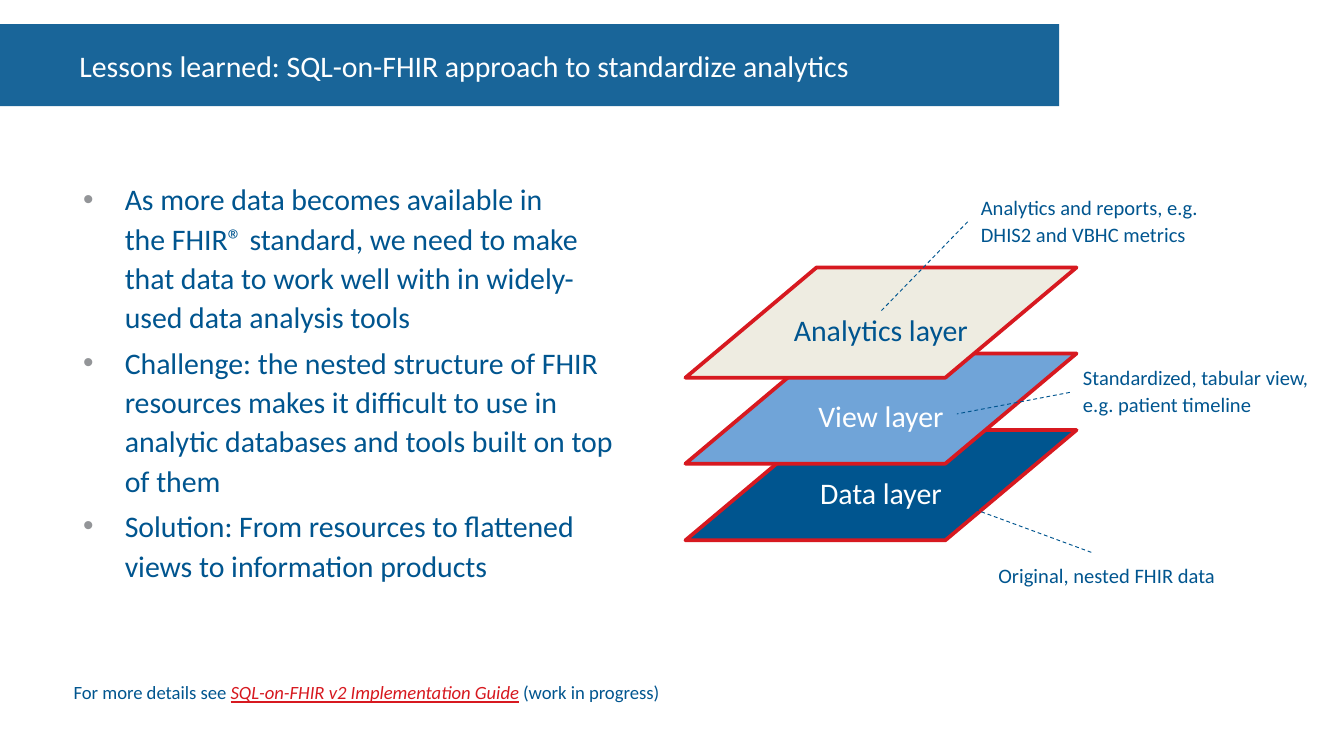
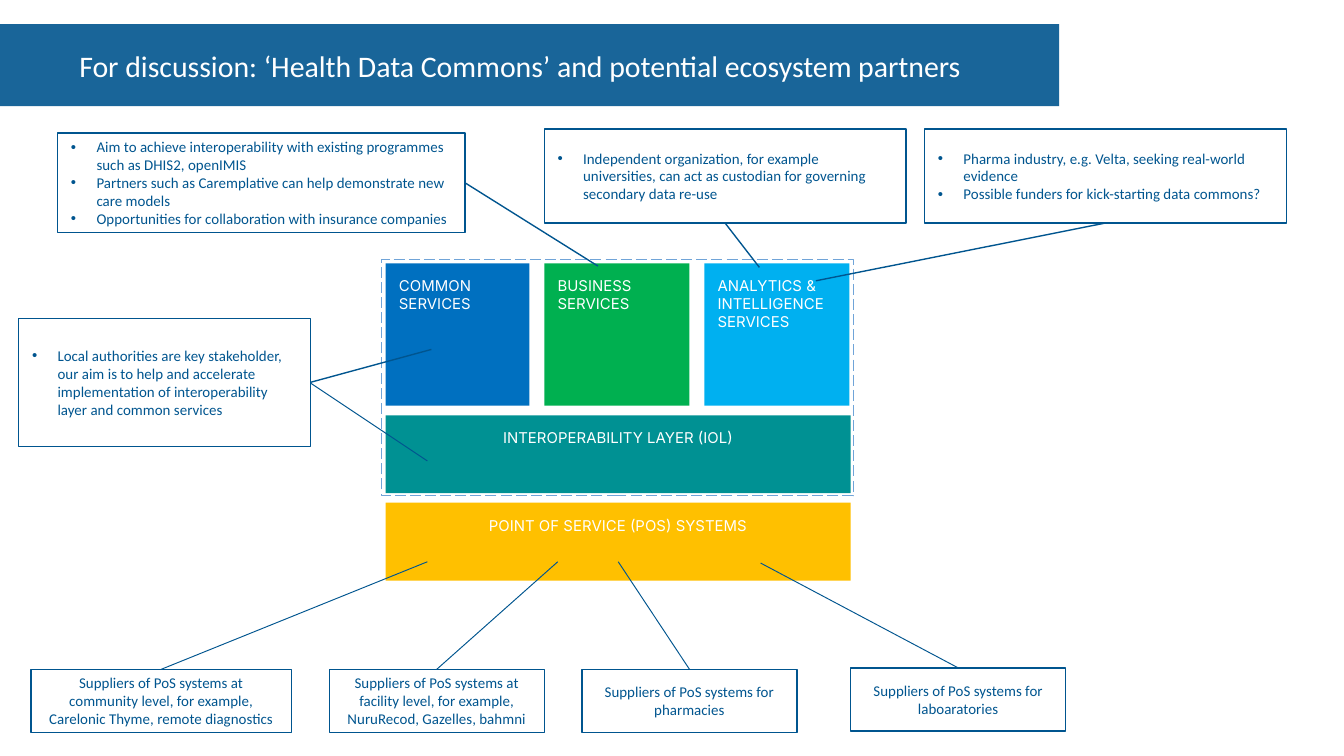
import pptx
import pptx.util
import pptx.dml.color
import pptx.enum.dml
import pptx.enum.shapes
import pptx.enum.text
import pptx.oxml.ns
from lxml import etree

# Shared style, lengths in px at 100 px to the inch
PX = 9144
SLIDE_WIDTH = 1000
NAVY, RED, SKY, WHITE = "00558F", "D71920", "70A4D8", "FFFFFF"
SAND, GREY = "EEECE1", "939598"
BODY_FONT, BLOCK_FONT = "Calibri", "Inter"
INSETS = (10, 5, 10, 5)
NBSP = chr(160)
SHAPE = pptx.enum.shapes.MSO_SHAPE
DASH = pptx.enum.dml.MSO_LINE
ALIGN = pptx.enum.text.PP_ALIGN
ANCHOR = pptx.enum.text.MSO_ANCHOR


def px(length):
    return pptx.util.Emu(round(length * PX))


def rgb(color):
    return pptx.dml.color.RGBColor.from_string(color)


def sub(parent, tag, **attributes):
    return etree.SubElement(parent, pptx.oxml.ns.qn(tag), **attributes)


# Text
def add_bullet(paragraph, indent, color):
    properties = paragraph._p.get_or_add_pPr()
    properties.set("marL", str(px(indent)))
    properties.set("indent", str(px(-indent)))
    sub(sub(properties, "a:buClr"), "a:srgbClr", val=color)
    sub(properties, "a:buFont", typeface="Arial")
    sub(properties, "a:buChar", char="•")


def style_run(run, size, color, font=BODY_FONT):
    run.font.size = pptx.util.Pt(size)
    run.font.name = font
    run.font.color.rgb = rgb(color)


def write(shape, lines, size, color=NAVY, font=BODY_FONT, align=ALIGN.LEFT,
          anchor=ANCHOR.TOP, insets=INSETS, indent=0, bullet_color=NAVY,
          spacing=None, gap=0):
    frame = shape.text_frame
    frame.word_wrap = True
    frame.vertical_anchor = anchor
    (frame.margin_left, frame.margin_top,
     frame.margin_right, frame.margin_bottom) = map(px, insets)
    frame.text = "\n".join(lines)
    for number, paragraph in enumerate(frame.paragraphs):
        if indent:
            add_bullet(paragraph, indent, bullet_color)
        paragraph.alignment = align
        if spacing:
            paragraph.line_spacing = spacing
        if gap and number:
            paragraph.space_before = pptx.util.Pt(gap)
        for run in paragraph.runs:
            style_run(run, size, color, font)


def add_text(slide, box, lines, size, **style):
    textbox = slide.shapes.add_textbox(*map(px, box))
    write(textbox, lines, size, insets=(10, 0, 10, 5), spacing=1.1, **style)
    return textbox


# Shapes and lines
def add_block(shapes, kind, box, fill=None, line=None, width=0.75):
    block = shapes.add_shape(kind, *map(px, box))
    block.shadow.inherit = False
    if fill:
        block.fill.solid()
        block.fill.fore_color.rgb = rgb(fill)
    else:
        block.fill.background()
    if line:
        block.line.color.rgb = rgb(line)
        block.line.width = pptx.util.Pt(width)
    else:
        block.line.fill.background()
    return block


def add_pointer(slide, start, end, dash=None):
    pointer = slide.shapes.add_connector(
        pptx.enum.shapes.MSO_CONNECTOR.STRAIGHT, *map(px, start + end))
    pointer.line.color.rgb = rgb(NAVY)
    pointer.line.width = pptx.util.Pt(0.5)
    if dash:
        pointer.line.dash_style = dash
    sub(pointer._element.spPr, "a:effectLst")
    return pointer


def add_title(slide, title):
    band = add_block(slide.shapes, SHAPE.RECTANGLE, (0, 18, 788, 61), NAVY)
    color = band.fill._xPr.find(".//" + pptx.oxml.ns.qn("a:srgbClr"))
    sub(color, "a:alpha", val="90000")
    write(band, [title], 16, WHITE, anchor=ANCHOR.MIDDLE, insets=(59, 5, 10, 5))


def add_layer(slide, top, label, fill, color):
    layer = add_block(slide.shapes, SHAPE.PARALLELOGRAM, (510, top, 291, 82),
                      fill, RED, 2)
    layer.adjustments[0] = 1.19
    write(layer, [label], 16, color, align=ALIGN.CENTER, anchor=ANCHOR.BOTTOM,
          insets=(10, 5, 10, 4))


def add_callout(slide, box, tip, lines, from_bottom=False):
    left, top, width, height = box
    callout = add_block(slide.shapes, SHAPE.LINE_CALLOUT_1, box, line=NAVY)
    tip_down, tip_across = (tip[1] - top) / height, (tip[0] - left) / width
    side_down, side_across = (1, 0.5) if from_bottom else (0.5, 1)
    for index, value in enumerate((tip_down, tip_across, side_down, side_across)):
        callout.adjustments[index] = value
    write(callout, lines, 8, anchor=ANCHOR.MIDDLE, indent=19)


def add_service(shapes, box, fill, lines, align=ALIGN.LEFT):
    service = add_block(shapes, SHAPE.RECTANGLE, box, fill)
    write(service, lines, 8, WHITE, BLOCK_FONT, align, insets=(10,) * 4)


def add_supplier(slide, box, target, label):
    supplier = add_block(slide.shapes, SHAPE.RECTANGLE, box, line=NAVY)
    write(supplier, [label], 8, align=ALIGN.CENTER, anchor=ANCHOR.MIDDLE)
    left, top, width, _ = box
    pointer = add_pointer(slide, (left + width // 2, top), target)
    pointer.begin_connect(supplier, 0)


# Slides
def build_lessons(slide):
    standard = NBSP.join(("the", "FHIR®", "standard"))
    add_text(slide, (52, 132, 421, 348), [
        f"As more data becomes available in {standard}, we need to make "
        "that data to work well with in widely-used data analysis tools",
        "Challenge: the nested structure of FHIR resources makes it difficult "
        "to use in analytic databases and tools built on top of them",
        "Solution: From resources to flattened views to information products",
    ], 16, indent=31, bullet_color=GREY, gap=3.2)
    add_title(slide, "Lessons learned: SQL-on-FHIR approach to standardize analytics")

    # Further reading
    reading = add_text(slide, (45, 505, 470, 23), ["For more details see "], 10)
    reading.text_frame.word_wrap = False
    sentence = reading.text_frame.paragraphs[0]
    guide, status = sentence.add_run(), sentence.add_run()
    guide.text = "SQL-on-FHIR v2 Implementation Guide"
    style_run(guide, 10, RED)
    guide.font.italic = guide.font.underline = True
    status.text = " (work in progress)"
    style_run(status, 10, NAVY)

    # Stack of layers, lowest first
    for top, label, fill, color in (
            (320, "Data layer", NAVY, WHITE),
            (263, "View layer", SKY, WHITE),
            (199, "Analytics layer", SAND, NAVY)):
        add_layer(slide, top, label, fill, color)

    # Layer notes with their pointers
    for box, note, start, end in (
            ((733, 417, 193, 24), "Original, nested FHIR data",
             (812, 411), (709, 373)),
            ((796, 270, 193, 45), "Standardized, tabular view, e.g. patient timeline",
             (796, 292), (712, 308)),
            ((720, 143, 193, 45), "Analytics and reports, e.g. DHIS2 and VBHC metrics",
             (720, 165), (655, 232))):
        add_text(slide, box, [note], 11)
        add_pointer(slide, start, end, DASH.DASH)


def build_ecosystem(slide):
    # Health data platform
    platform = slide.shapes.add_group_shape().shapes
    frame = add_block(platform, SHAPE.RECTANGLE, (284, 193, 351, 176), line=SKY)
    frame.line.dash_style = DASH.LONG_DASH
    for left, width, fill, lines in (
            (287, 107, "0070C0", ["COMMON", "SERVICES"]),
            (405, 108, "00B050", ["BUSINESS", "SERVICES"]),
            (524, 108, "00B0F0", ["ANALYTICS & INTELLIGENCE SERVICES"])):
        add_service(platform, (left, 196, width, 106), fill, lines)
    for top, fill, label in (
            (309, "009193", "INTEROPERABILITY LAYER (IOL)"),
            (374, "FFC000", "POINT OF SERVICE (POS) SYSTEMS")):
        add_service(platform, (287, top, 346, 58), fill, [label], ALIGN.CENTER)
    add_title(slide, "For discussion: ‘Health Data Commons’ and potential ecosystem partners")

    # Partners
    add_callout(slide, (688, 96, 269, 70), (607, 209), [
        "Pharma industry, e.g. Velta, seeking real-world evidence",
        "Possible funders for kick-starting data commons?"], from_bottom=True)
    add_callout(slide, (43, 99, 303, 74), (445, 198), [
        "Aim to achieve interoperability with existing programmes such as "
        "DHIS2, openIMIS",
        "Partners such as Caremplative can help demonstrate new care models",
        "Opportunities for collaboration with insurance companies"])
    add_callout(slide, (14, 237, 217, 95), (321, 260), [
        "Local authorities are key stakeholder, our aim is to help and "
        "accelerate implementation of interoperability layer and common services"])
    add_pointer(slide, (231, 285), (318, 343))

    # Suppliers
    supplied = "Suppliers of PoS systems "
    for box, target, scope in (
            ((23, 498, 194, 47), (318, 418),
             "at community level, for example, Carelonic Thyme, remote diagnostics"),
            ((245, 498, 160, 47), (415, 418),
             "at facility level, for example, NuruRecod, Gazelles, bahmni"),
            ((433, 498, 160, 47), (460, 418), "for pharmacies"),
            ((633, 497, 160, 47), (566, 419), "for laboaratories")):
        add_supplier(slide, box, target, supplied + scope)

    # Custodian
    add_callout(slide, (405, 96, 269, 70), (565, 199), [
        "Independent organization, for example universities, can act as "
        "custodian for governing secondary data re-use"], from_bottom=True)


def main():
    deck = pptx.Presentation()
    deck.slide_width = px(SLIDE_WIDTH)
    deck.slide_height = px(SLIDE_WIDTH * 9 / 16)
    for build in (build_lessons, build_ecosystem):
        build(deck.slides.add_slide(deck.slide_layouts[6]))
    deck.save("out.pptx")


if __name__ == "__main__":
    main()
